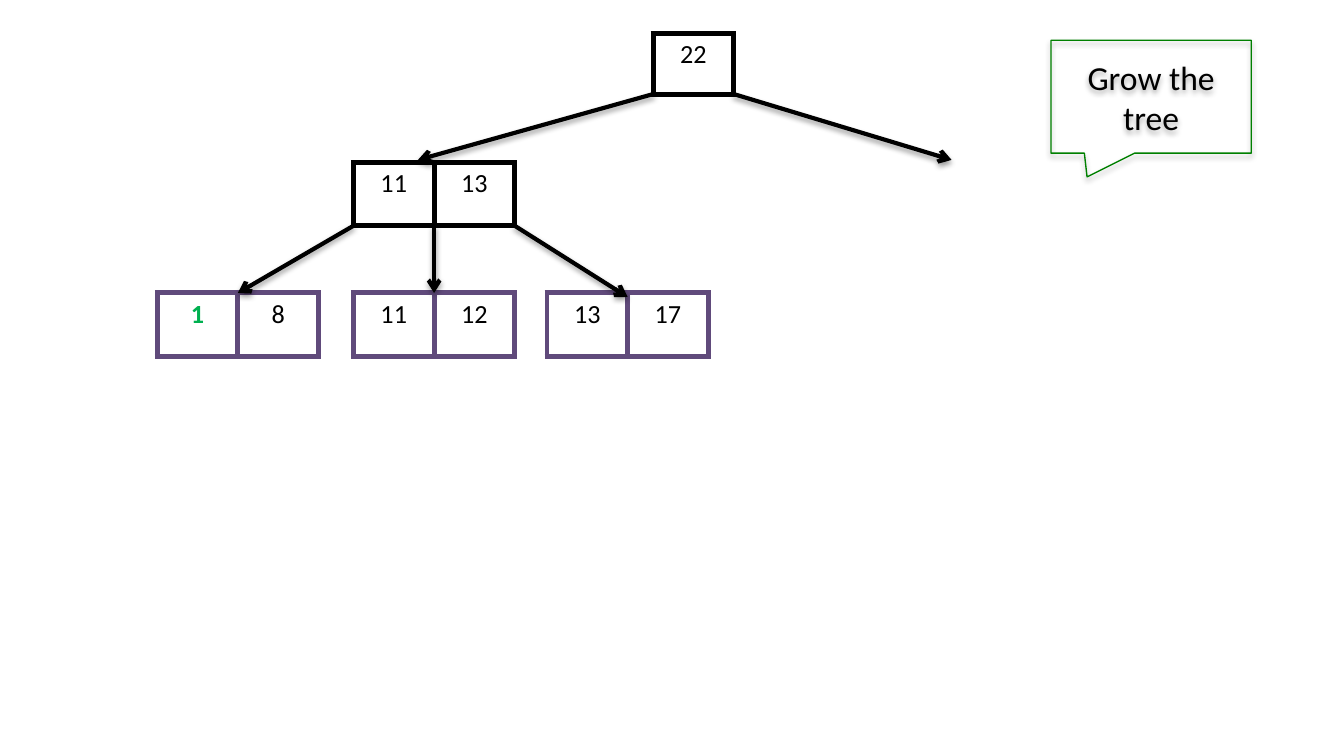
from lxml import etree
from pptx import Presentation
from pptx import util as u
from pptx.dml.color import RGBColor
from pptx.enum import shapes, text
from pptx.oxml import parse_xml

NS = "http://schemas.openxmlformats.org/drawingml/2006/main"
BLACK, PLUM, GREEN, LEAF = "000000", "604A7B", "008000", "00B050"

# Widescreen page, 16 by 9
deck = Presentation()
deck.slide_width = u.Inches(10)
deck.slide_height = deck.slide_width * 9 // 16
page = deck.slides.add_slide(deck.slide_layouts[6])


def write(frame, words, size=14, ink=BLACK, bold=False):
    par = frame.paragraphs[0]
    par.alignment = text.PP_ALIGN.CENTER
    run = par.add_run()
    run.text = words
    run.font.name, run.font.size, run.font.bold = "Calibri", u.Pt(size), bold
    run.font.color.rgb = RGBColor.from_string(ink)


def shade(shape, dist, alpha):
    shape._element.spPr.append(parse_xml(
        f'<a:effectLst xmlns:a="{NS}"><a:outerShdw blurRad="{u.Pt(3.1)}" '
        f'dist="{u.Pt(dist)}" dir="5400000" rotWithShape="0"><a:srgbClr val="{BLACK}">'
        f'<a:alpha val="{alpha * 1000}"/></a:srgbClr></a:outerShdw></a:effectLst>'))


# Grid: key width, row height, tops of the three levels
KEY, ROW = 0.6, 0.47
TOP, MID, LOW = 0.25, 1.21, 2.18
LEFT, ROOT = 2.63, 4.86
ROOT_ROW = 0.45
ROOT_END, MID_END = TOP + ROOT_ROW, MID + ROW

# Nodes: left, top, height, border, keys
nodes = [
    (ROOT, TOP, ROOT_ROW, BLACK, ["22"]),
    (LEFT, MID, ROW, BLACK, ["11", "13"]),
    (1.17, LOW, ROW, PLUM, ["1", "8"]),
    (LEFT, LOW, ROW, PLUM, ["11", "12"]),
    (4.07, LOW, ROW, PLUM, ["13", "17"]),
]
for x, y, high, edge, keys in nodes:
    grid = page.shapes.add_table(1, len(keys), u.Inches(x), u.Inches(y),
                                 u.Inches(KEY * len(keys)), u.Inches(high)).table
    grid.first_row = grid.horz_banding = False
    for cell, key in zip(grid.rows[0].cells, keys):
        cell.margin_left = cell.margin_right = u.Inches(0.1)
        cell.margin_top = cell.margin_bottom = u.Inches(0.04)
        fresh = key == "1"
        write(cell.text_frame, key, ink=LEAF if fresh else BLACK, bold=fresh)
        for side in "LRTB":
            cell._tc.get_or_add_tcPr().append(parse_xml(
                f'<a:ln{side} xmlns:a="{NS}" w="{u.Pt(3)}"><a:solidFill>'
                f'<a:srgbClr val="{edge}"/></a:solidFill></a:ln{side}>'))
        cell.fill.background()

# Arrows from parent to child
arrows = [
    (ROOT, ROOT_END, 3.11, 1.19),
    (ROOT + KEY, ROOT_END, 7.08, 1.19),
    (LEFT, MID_END, 1.77, LOW),
    (LEFT + KEY, MID_END, LEFT + KEY, LOW),
    (LEFT + 2 * KEY, MID_END, 4.67, 2.21),
]
for ends in arrows:
    link = page.shapes.add_connector(shapes.MSO_CONNECTOR.STRAIGHT,
                                     *[u.Inches(v) for v in ends])
    link.line.width = u.Pt(2.25)
    link.line.color.rgb = RGBColor.from_string(BLACK)
    etree.SubElement(link.line._get_or_add_ln(), f"{{{NS}}}tailEnd", type="arrow")
    shade(link, 1.6, 38)

# Callout
note = page.shapes.add_shape(shapes.MSO_SHAPE.RECTANGULAR_CALLOUT, u.Inches(7.82),
                             u.Inches(0.3), u.Inches(1.49), u.Inches(0.84))
note.adjustments[0], note.adjustments[1] = -0.32, 0.71
note.fill.background()
note.line.width = u.Pt(0.75)
note.line.color.rgb = RGBColor.from_string(GREEN)
shade(note, 1.8, 35)
note.text_frame.word_wrap = True
note.text_frame.vertical_anchor = text.MSO_ANCHOR.MIDDLE
write(note.text_frame, "Grow the tree", size=18)

deck.save("out.pptx")
